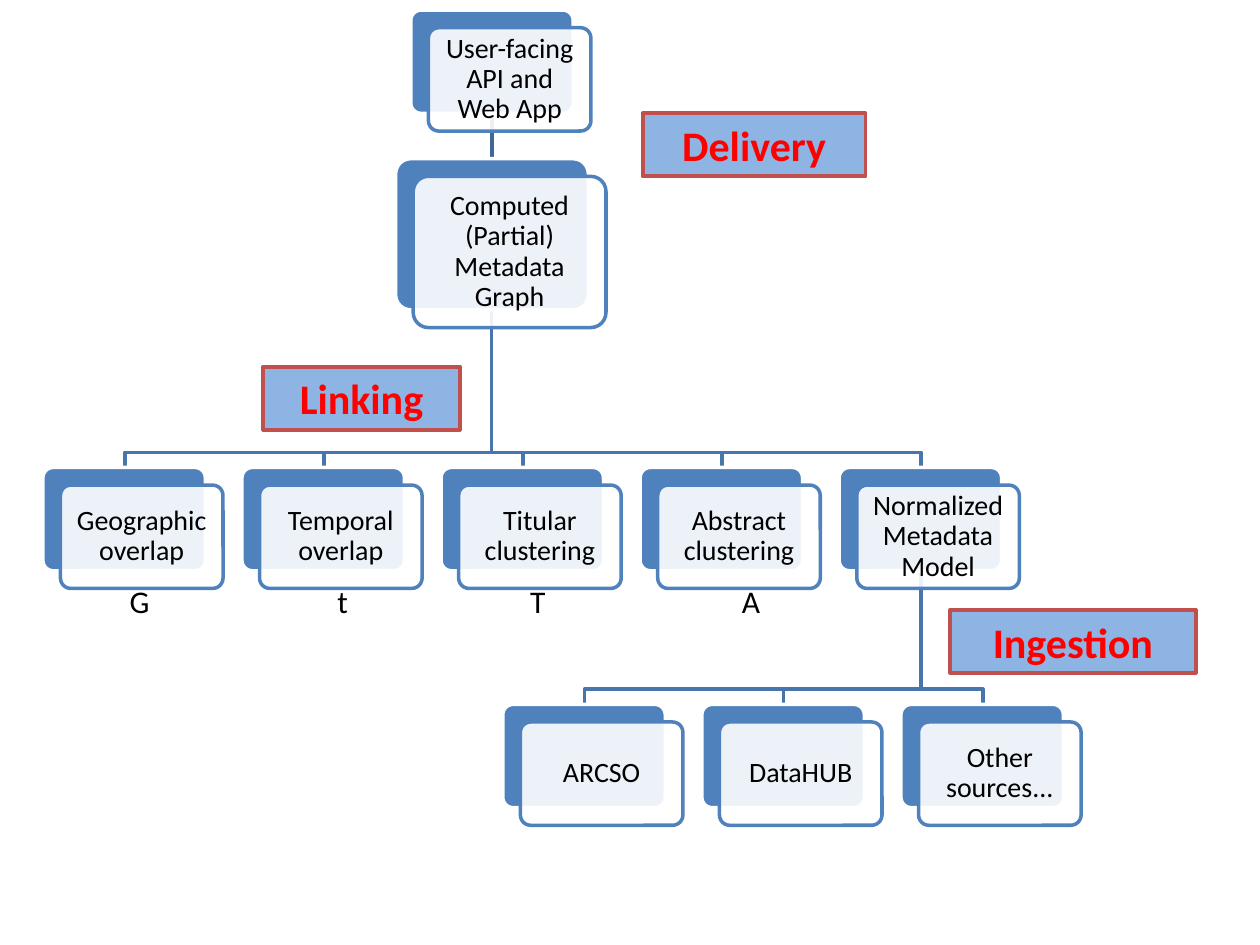
import pptx
import pptx.dml.color
import pptx.enum.shapes
import pptx.enum.text
import pptx.oxml.ns
import pptx.util
import lxml.etree
from dataclasses import dataclass

Inches = pptx.util.Inches
Kind = pptx.enum.shapes.MSO_SHAPE
Align = pptx.enum.text.PP_ALIGN
Anchor = pptx.enum.text.MSO_ANCHOR
qn = pptx.oxml.ns.qn


@dataclass
class Theme:
    font: str = "Calibri"
    ink: str = "000000"
    blue: str = "4F81BD"
    white: str = "FFFFFF"
    branch: str = "4875AC"
    stem: str = "3F6797"
    tag: str = "8EB4E3"
    edge: str = "C0504D"
    alert: str = "FF0000"
    body: int = 16
    note: int = 18
    head: int = 24
    rule: float = 2
    frame: float = 2.25
    shift: float = 0.14
    inset: float = 0.07
    drop: float = 0.12


class Chart:
    def __init__(self, slide, theme):
        self.slide = slide
        self.theme = theme

    def color(self, code):
        return pptx.dml.color.RGBColor.from_string(code)

    def stroke(self, item, code, width):
        item.line.color.rgb = self.color(code)
        item.line.width = pptx.util.Pt(width)

    def label(self, frame, text, size, code, bold=False, align=Align.CENTER):
        para = frame.paragraphs[0]
        para.alignment = align
        run = para.add_run()
        run.text = text
        run.font.name = self.theme.font
        run.font.size = pptx.util.Pt(size)
        run.font.bold = bold
        run.font.color.rgb = self.color(code)
        return para

    def block(self, kind, box, fill, line, width):
        item = self.slide.shapes.add_shape(kind, *map(Inches, box))
        item.shadow.inherit = False
        item.fill.solid()
        item.fill.fore_color.rgb = self.color(fill)
        self.stroke(item, line, width)
        return item

    def card(self, text, left, top, wide=1.29, high=0.82):
        """Solid back plate with a translucent, labelled front plate."""
        look = self.theme
        back = self.block(Kind.ROUNDED_RECTANGLE, (left, top, wide, high),
                          look.blue, look.white, look.rule)
        front = self.block(
            Kind.ROUNDED_RECTANGLE,
            (left + look.shift, top + look.shift, wide, high),
            look.white, look.blue, look.rule)
        for plate in (back, front):
            plate.adjustments[0] = 0.1
        tint = front._element.spPr.find(qn("a:solidFill")).find(qn("a:srgbClr"))
        lxml.etree.SubElement(tint, qn("a:alpha")).set("val", "90000")
        frame = front.text_frame
        frame.word_wrap = True
        frame.vertical_anchor = Anchor.MIDDLE
        frame.margin_left = frame.margin_right = Inches(look.inset)
        frame.margin_top = frame.margin_bottom = Inches(look.inset)
        self.label(frame, text, look.body, look.ink).line_spacing = 0.9
        return back

    def elbow(self, start, end):
        """Down from the parent, across, then a short drop to the child."""
        (x, y), (far, low) = start, end
        bus = low - self.theme.drop
        pen = self.slide.shapes.build_freeform(Inches(x), Inches(y))
        pen.add_line_segments(
            [(Inches(a), Inches(b)) for a, b in ((x, bus), (far, bus), (far, low))],
            close=False)
        item = pen.convert_to_shape()
        item.shadow.inherit = False
        item.fill.background()
        self.stroke(item, self.theme.branch, self.theme.rule)

    def link(self, start, end):
        item = self.slide.shapes.add_connector(
            pptx.enum.shapes.MSO_CONNECTOR.STRAIGHT, *map(Inches, start + end))
        self.stroke(item, self.theme.stem, self.theme.rule)
        lxml.etree.SubElement(item._element.spPr, qn("a:effectLst"))
        return item

    def tag(self, text, left, top, wide):
        look = self.theme
        item = self.block(Kind.RECTANGLE, (left, top, wide, 0.5),
                          look.tag, look.edge, look.frame)
        item.text_frame.word_wrap = True
        self.label(item.text_frame, text, look.head, look.alert, bold=True)

    def note(self, text, left, top, wide):
        item = self.slide.shapes.add_textbox(*map(Inches, (left, top, wide, 0.4)))
        item.text_frame.word_wrap = False
        self.label(item.text_frame, text, self.theme.note, self.theme.ink,
                   align=Align.LEFT)


def main():
    deck = pptx.Presentation()
    deck.slide_width, deck.slide_height = Inches(10), Inches(7.5)
    chart = Chart(deck.slides.add_slide(deck.slide_layouts[6]), Theme())

    # Rows of equal cards
    step, half = 1.58, 0.65
    link_top, source_top = 3.71, 5.59
    links = ["Geographic overlap", "Temporal overlap", "Titular clustering",
             "Abstract clustering", "Normalized Metadata Model"]
    sources = ["ARCSO", "DataHUB", "Other sources..."]
    link_row = [(text, 0.34 + step * i) for i, text in enumerate(links)]
    source_row = [(text, 3.99 + step * i) for i, text in enumerate(sources)]

    # Branches lie behind the cards
    trunk = 3.9
    model = link_row[-1][1] + half
    for start, row, top in (((model, 4.53), source_row, source_top),
                            ((trunk, 2.46), link_row, link_top)):
        for _, left in reversed(row):
            chart.elbow(start, (left + half, top))
    stem = chart.link((trunk, 0.9), (trunk, 1.26))

    # Cards
    app = chart.card("User-facing API and Web App", 3.26, 0.08)
    graph = chart.card("Computed (Partial) Metadata Graph", 3.14, 1.26, 1.53, 1.2)
    stem.begin_connect(app, 2)
    stem.end_connect(graph, 0)
    for row, top in ((link_row, link_top), (source_row, source_top)):
        for text, left in row:
            chart.card(text, left, top)

    # Stage tags
    chart.tag("Ingestion", 7.54, 4.84, 1.95)
    chart.tag("Linking", 2.09, 2.91, 1.56)
    chart.tag("Delivery", 5.1, 0.9, 1.77)

    # Letters under the linking cards
    for text, left, wide in (("G", 0.93, 0.36), ("t", 2.58, 0.29),
                             ("T", 4.11, 0.33), ("A", 5.79, 0.35)):
        chart.note(text, left, 4.57, wide)

    deck.save("out.pptx")


if __name__ == "__main__":
    main()
